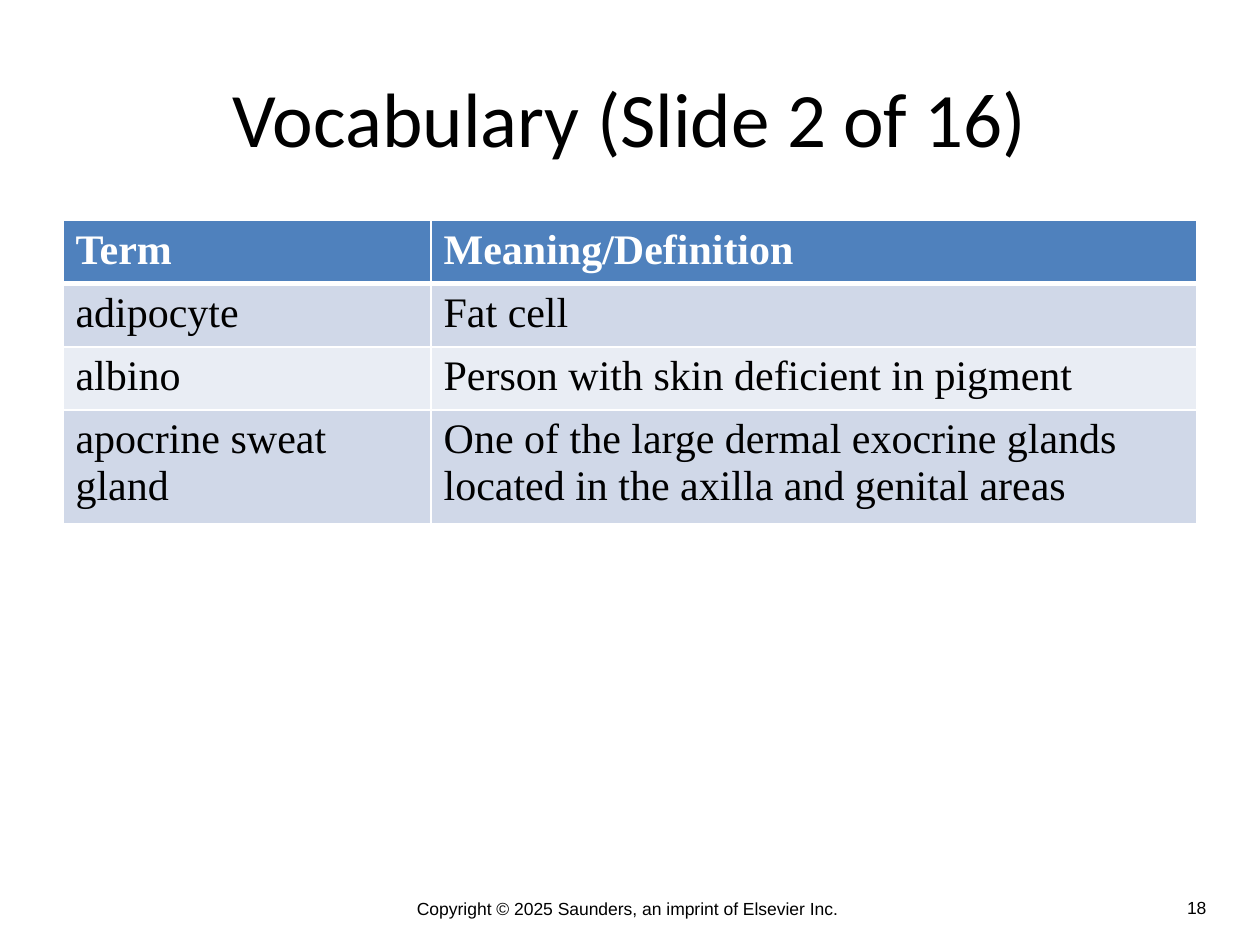
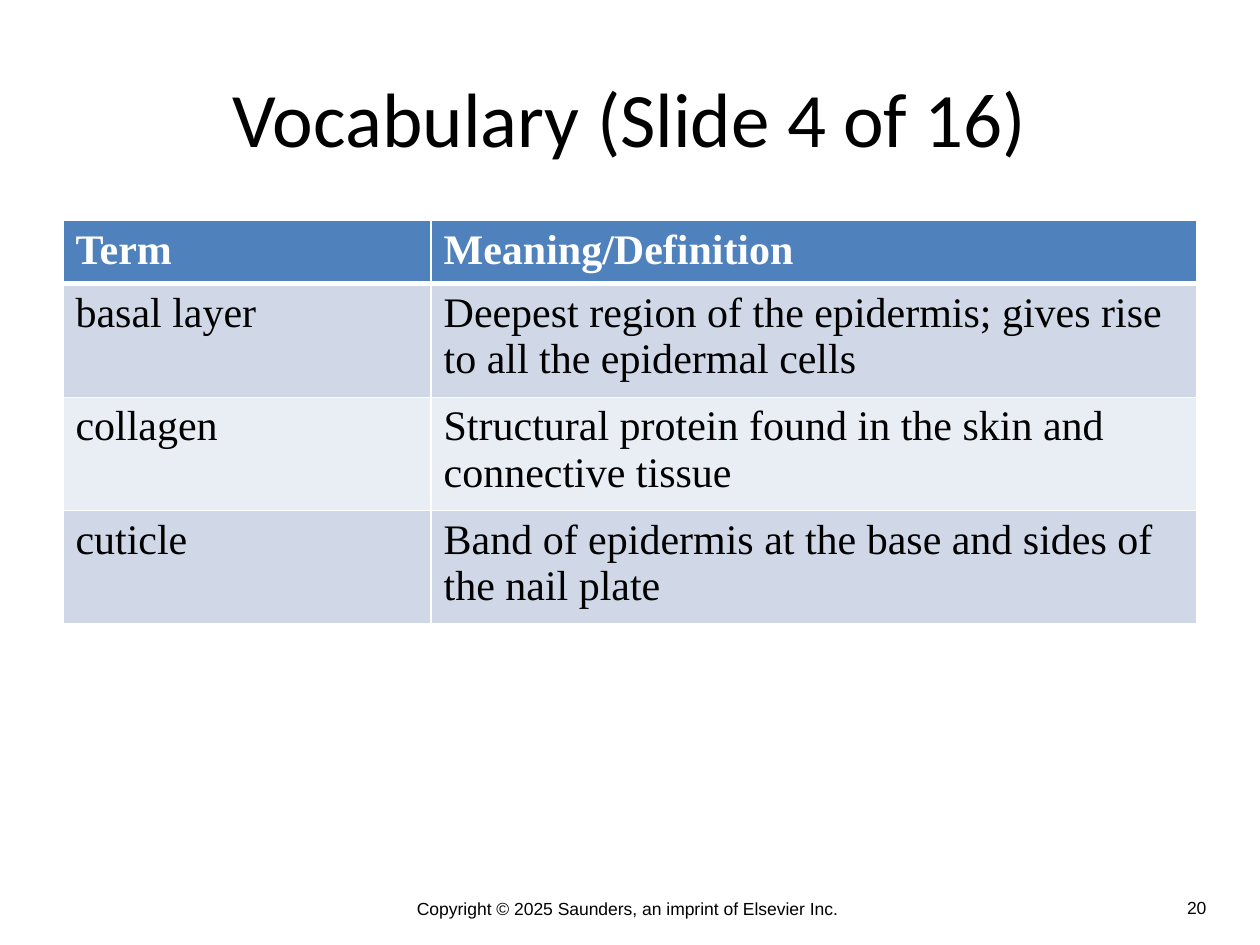
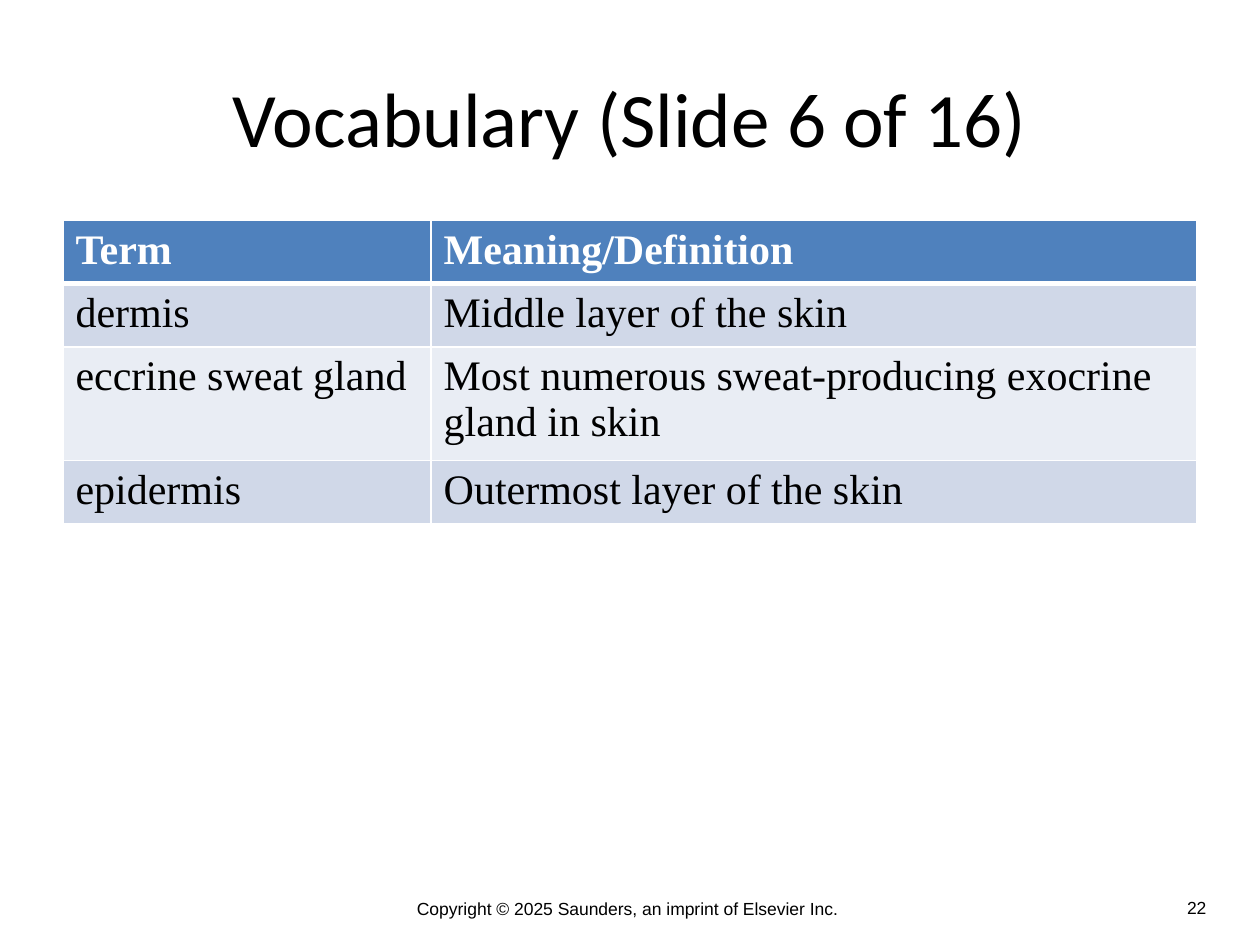
from lxml.etree import SubElement
from pptx import Presentation
from pptx.dml.color import RGBColor
from pptx.enum.text import MSO_ANCHOR as Anchor, PP_ALIGN as Align
from pptx.oxml.ns import qn
from pptx.util import Cm, Pt

BLACK = RGBColor(0x00, 0x00, 0x00)
WHITE = RGBColor(0xFF, 0xFF, 0xFF)
HEADER_BLUE = RGBColor(0x4F, 0x81, 0xBD)
BAND_DARK = RGBColor(0xD0, 0xD8, 0xE8)
BAND_LIGHT = RGBColor(0xE9, 0xED, 0xF4)

TITLE_FONT = "Calibri"
TABLE_FONT = "Times New Roman"
FOOTER_FONT = "Arial"

TITLE_ONLY = 5
MARGIN = Cm(1.27)
CONTENT_WIDTH = Cm(22.86)
COLUMN_WIDTHS = Cm(7.42), Cm(15.44)
ROW_HEIGHT = Cm(1.04)
THIN, THICK = Pt(1), Pt(3)

COPYRIGHT = "Copyright © 2025 Saunders, an imprint of Elsevier Inc. "
HEADINGS = ("Term", "Meaning/Definition")
TOTAL_PARTS = 16

# (part, page number, vocabulary entries)
VOCABULARY = [
    (2, 18, [
        ("adipocyte", "Fat cell"),
        ("albino", "Person with skin deficient in pigment"),
        ("apocrine sweat gland",
         "One of the large dermal exocrine glands located in the axilla and genital areas"),
    ]),
    (4, 20, [
        ("basal layer",
         "Deepest region of the epidermis; gives rise to all the epidermal cells"),
        ("collagen", "Structural protein found in the skin and connective tissue"),
        ("cuticle", "Band of epidermis at the base and sides of the nail plate"),
    ]),
    (6, 22, [
        ("dermis", "Middle layer of the skin"),
        ("eccrine sweat gland", "Most numerous sweat-producing exocrine gland in skin"),
        ("epidermis", "Outermost layer of the skin"),
    ]),
]


def write(frame, text, font, size, color=BLACK, bold=False, align=Align.LEFT):
    paragraph = frame.paragraphs[0]
    paragraph.alignment = align
    run = paragraph.add_run()
    run.text = text
    run.font.name = font
    run.font.size = Pt(size)
    run.font.bold = bold
    run.font.color.rgb = color


def add_title(slide, text):
    title = slide.shapes.title
    title.left, title.top = MARGIN, Cm(0.76)
    title.width, title.height = CONTENT_WIDTH, Cm(3.18)
    title.text_frame.vertical_anchor = Anchor.MIDDLE
    write(title.text_frame, text, TITLE_FONT, 44, align=Align.CENTER)


def add_footer_text(slide, text, left, top, width, height, align):
    frame = slide.shapes.add_textbox(left, top, width, height).text_frame
    frame.word_wrap = True
    write(frame, text, FOOTER_FONT, 10, align=align)


def add_footer(slide, page):
    add_footer_text(slide, COPYRIGHT, Cm(1.9), Cm(17.98), Cm(21.59), Cm(1.07), Align.CENTER)
    add_footer_text(slide, str(page), Cm(21.39), Cm(17.96), Cm(3.18), Cm(0.69), Align.RIGHT)


def set_borders(cell, top, bottom):
    """Draw white borders; call before filling, as lines precede the fill in the cell."""
    properties = cell._tc.get_or_add_tcPr()
    for side, width in (("L", THIN), ("R", THIN), ("T", top), ("B", bottom)):
        line = SubElement(properties, qn(f"a:ln{side}"), w=str(width))
        fill = SubElement(line, qn("a:solidFill"))
        SubElement(fill, qn("a:srgbClr"), val=str(WHITE))


def add_vocabulary_table(slide, entries):
    rows = [HEADINGS, *entries]
    table = slide.shapes.add_table(
        len(rows), len(HEADINGS), MARGIN, Cm(4.45),
        CONTENT_WIDTH, ROW_HEIGHT * len(rows)).table
    for column, width in zip(table.columns, COLUMN_WIDTHS):
        column.width = width
    for index, row in enumerate(rows):
        is_header = index == 0
        band = HEADER_BLUE if is_header else BAND_DARK if index % 2 else BAND_LIGHT
        for column, text in enumerate(row):
            cell = table.cell(index, column)
            set_borders(cell, top=THICK if index == 1 else THIN,
                        bottom=THICK if is_header else THIN)
            cell.fill.solid()
            cell.fill.fore_color.rgb = band
            write(cell.text_frame, text, TABLE_FONT, 24,
                  WHITE if is_header else BLACK, bold=is_header)


def main():
    deck = Presentation()
    deck.slide_width, deck.slide_height = Cm(25.4), Cm(19.05)
    for part, page, entries in VOCABULARY:
        slide = deck.slides.add_slide(deck.slide_layouts[TITLE_ONLY])
        add_footer(slide, page)
        add_title(slide, f"Vocabulary (Slide {part} of {TOTAL_PARTS})")
        add_vocabulary_table(slide, entries)
    deck.save("out.pptx")


if __name__ == "__main__":
    main()
